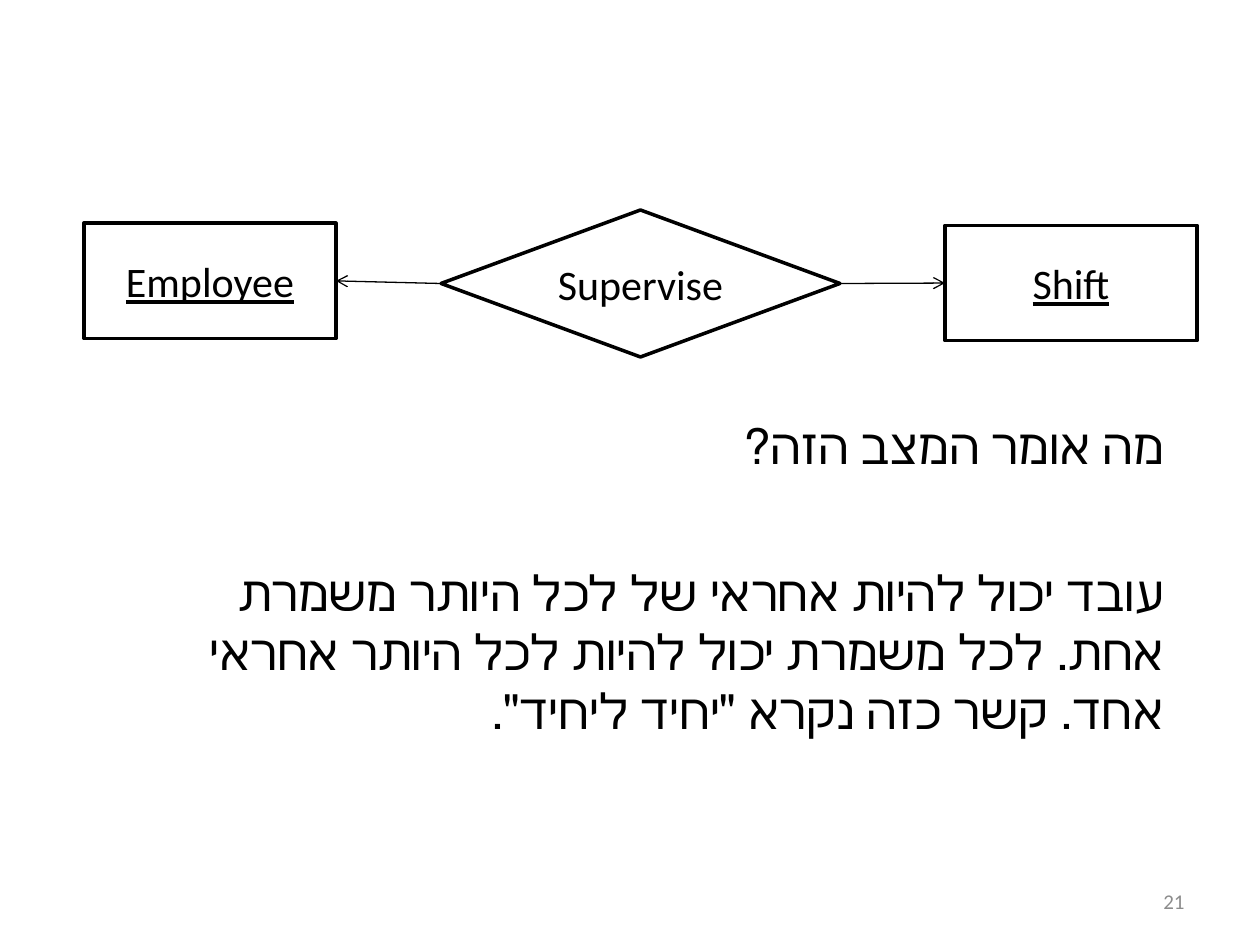
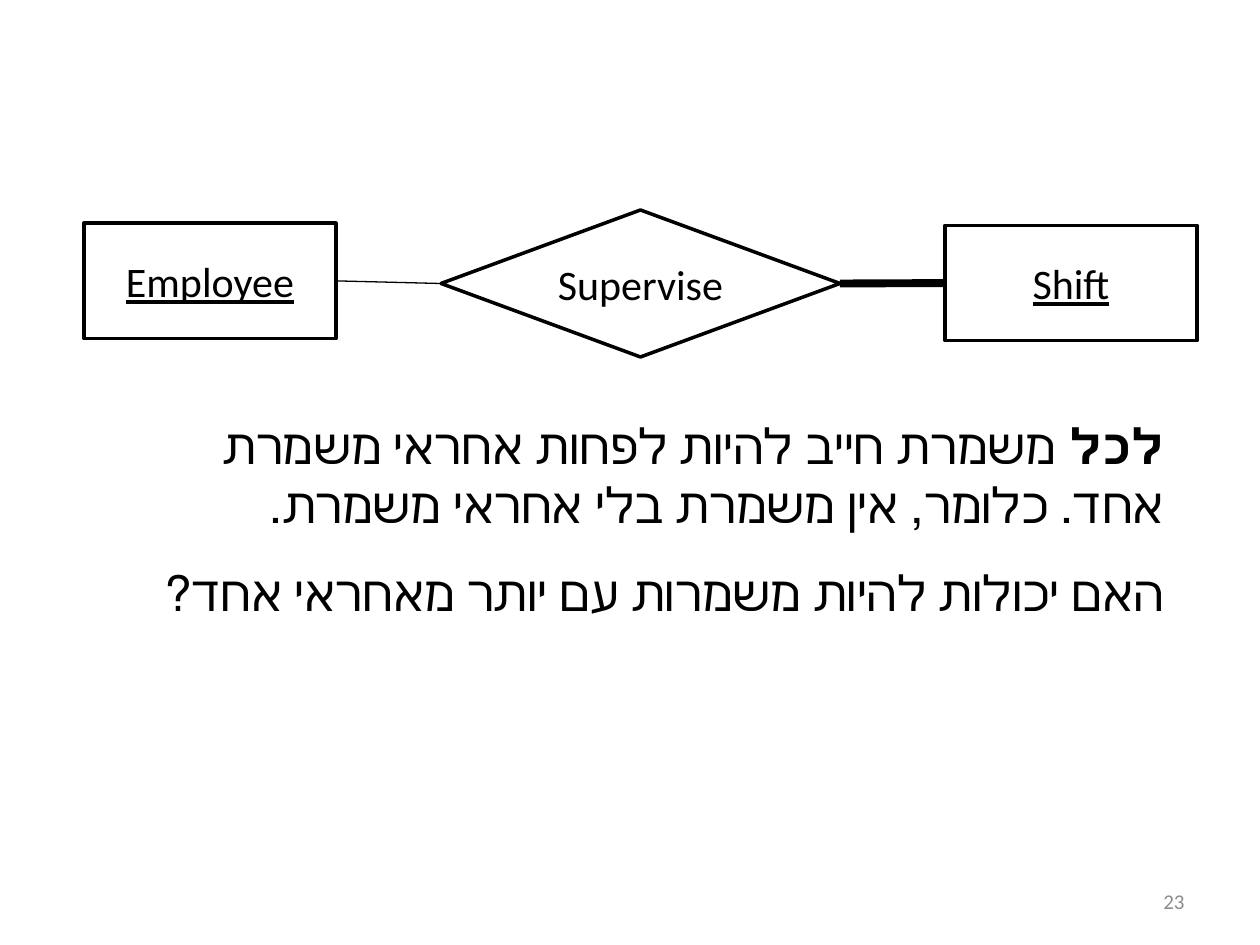
"""Builds two slides on one-to-one and participation constraints in ER diagrams."""
from lxml.etree import SubElement
from pptx import Presentation
from pptx.dml.color import RGBColor
from pptx.enum.shapes import MSO_CONNECTOR, MSO_SHAPE
from pptx.enum.text import MSO_ANCHOR, MSO_AUTO_SIZE, PP_ALIGN
from pptx.oxml.ns import qn
from pptx.util import Pt

FONT, BLACK, GREY = "Calibri", "000000", "8C8C8C"
TOP, LEFT, BOTTOM, RIGHT = range(4)

NODES = {
    "Employee": (MSO_SHAPE.RECTANGLE, (48, 127.5, 144, 66), True),
    "Shift": (MSO_SHAPE.RECTANGLE, (540, 128.75, 144, 66), True),
    "Supervise": (MSO_SHAPE.FLOWCHART_DECISION, (252, 120, 228, 84), False),
}
LINKS = [("Employee", LEFT, RIGHT), ("Shift", RIGHT, LEFT)]
NUMBER_BOX = (516, 500.5, 168, 28.75)
TEXT_LEFT, TEXT_WIDTH, TEXT_TOPS = 72, 600, (234, 318)
LINE_HEIGHT, INSETS = 34, 7

SLIDES = [
    {"number": "21", "arrows": True, "widths": (0.75, 0.75), "texts": [
        (1, [("מה אומר המצב הזה?", False)]),
        (3, [("עובד יכול להיות אחראי של לכל היותר משמרת אחת. "
              "לכל משמרת יכול להיות לכל היותר אחראי אחד. "
              "קשר כזה נקרא \"יחיד ליחיד\".", False)]),
    ]},
    {"number": "23", "arrows": False, "widths": (0.75, 4.5), "texts": [
        (2, [("לכל ", True),
             ("משמרת חייב להיות לפחות אחראי משמרת אחד. "
              "כלומר, אין משמרת בלי אחראי משמרת.", False)]),
        (1, [("האם יכולות להיות משמרות עם יותר מאחראי אחד?", False)]),
    ]},
]


def rgb(value):
    return RGBColor.from_string(value)


def style(r, size, color=BLACK, bold=False, underline=False):
    r.font.name, r.font.size = FONT, Pt(size)
    r.font.color.rgb = rgb(color)
    r.font.bold, r.font.underline = bold, underline


def add_text(s, box, runs, size, color=BLACK, rtl=False):
    tf = s.shapes.add_textbox(*map(Pt, box)).text_frame
    tf.word_wrap = True
    p = tf.paragraphs[0]
    p.alignment = PP_ALIGN.RIGHT
    if rtl:
        p._p.get_or_add_pPr().set("rtl", "1")
    for text, bold in runs:
        r = p.add_run()
        r.text = text
        style(r, size, color, bold)
    return tf


def add_node(s, name):
    kind, box, underline = NODES[name]
    sp = s.shapes.add_shape(kind, *map(Pt, box))
    sp.shadow.inherit = False
    sp.fill.background()
    sp.line.color.rgb, sp.line.width = rgb(BLACK), Pt(2)
    tf = sp.text_frame
    tf.text = name
    tf.vertical_anchor = MSO_ANCHOR.MIDDLE
    p = tf.paragraphs[0]
    p.alignment = PP_ALIGN.CENTER
    style(p.runs[0], 24, underline=underline)
    return sp


def add_link(s, start, start_site, end, end_site, width, arrow):
    cx = s.shapes.add_connector(MSO_CONNECTOR.STRAIGHT, 0, 0, 0, 0)
    cx.begin_connect(start, start_site)
    cx.end_connect(end, end_site)
    cx.line.color.rgb, cx.line.width = rgb(BLACK), Pt(width)
    if arrow:
        SubElement(cx.line._get_or_add_ln(), qn("a:tailEnd"), type="arrow")
    SubElement(cx._element.spPr, qn("a:effectLst"))


prs = Presentation()
prs.slide_width, prs.slide_height = Pt(720), Pt(540)
for content in SLIDES:
    s = prs.slides.add_slide(prs.slide_layouts[6])
    number = add_text(s, NUMBER_BOX, [(content["number"], False)], 12, GREY)
    number.vertical_anchor = MSO_ANCHOR.MIDDLE
    nodes = {name: add_node(s, name) for name in NODES}
    for (entity, start_site, end_site), width in zip(LINKS, content["widths"]):
        add_link(s, nodes["Supervise"], start_site, nodes[entity], end_site,
                 width, content["arrows"])
    for top, (lines, runs) in zip(TEXT_TOPS, content["texts"]):
        box = (TEXT_LEFT, top, TEXT_WIDTH, lines * LINE_HEIGHT + INSETS)
        tf = add_text(s, box, runs, 28, rtl=True)
        tf.auto_size = MSO_AUTO_SIZE.SHAPE_TO_FIT_TEXT
prs.save("out.pptx")
